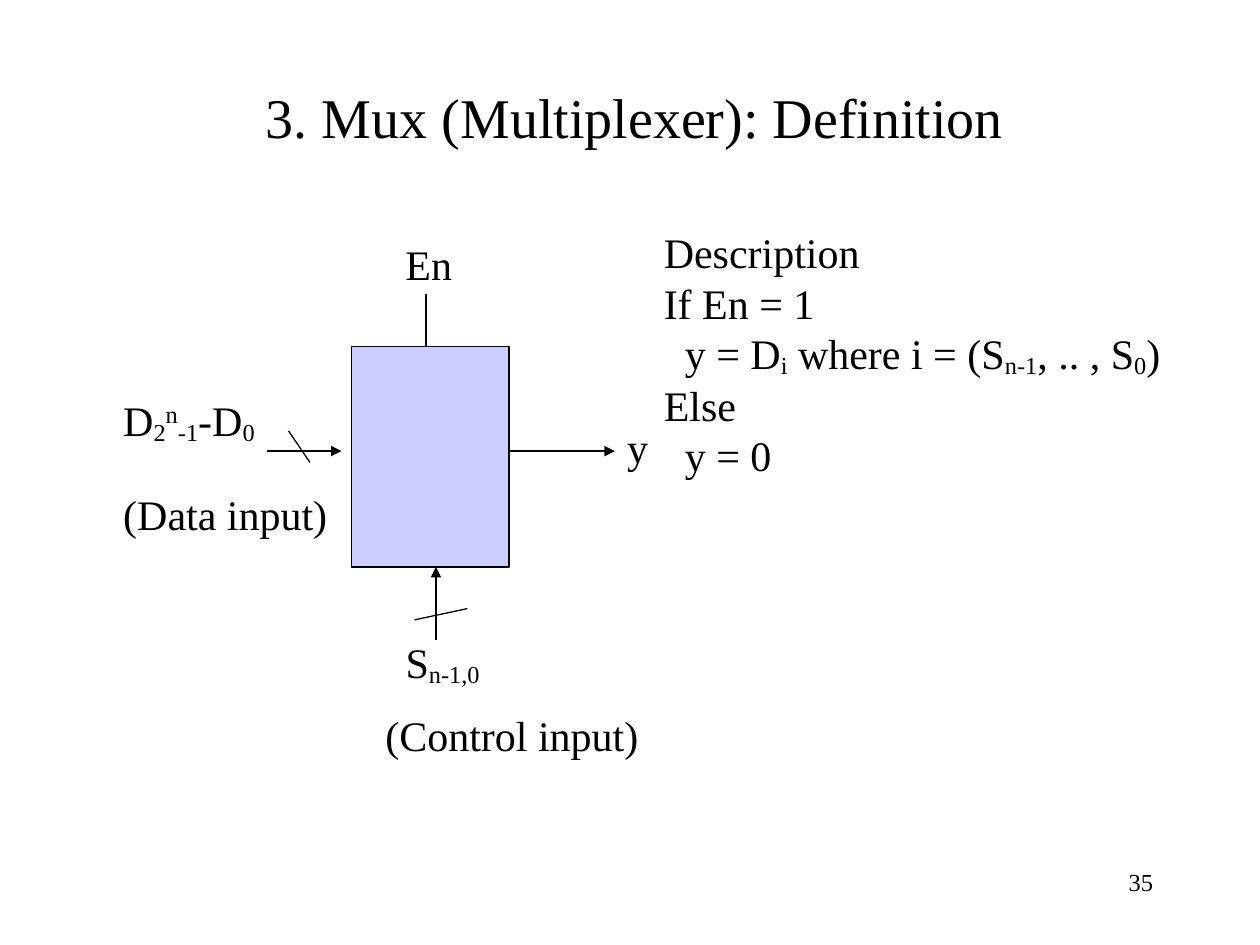
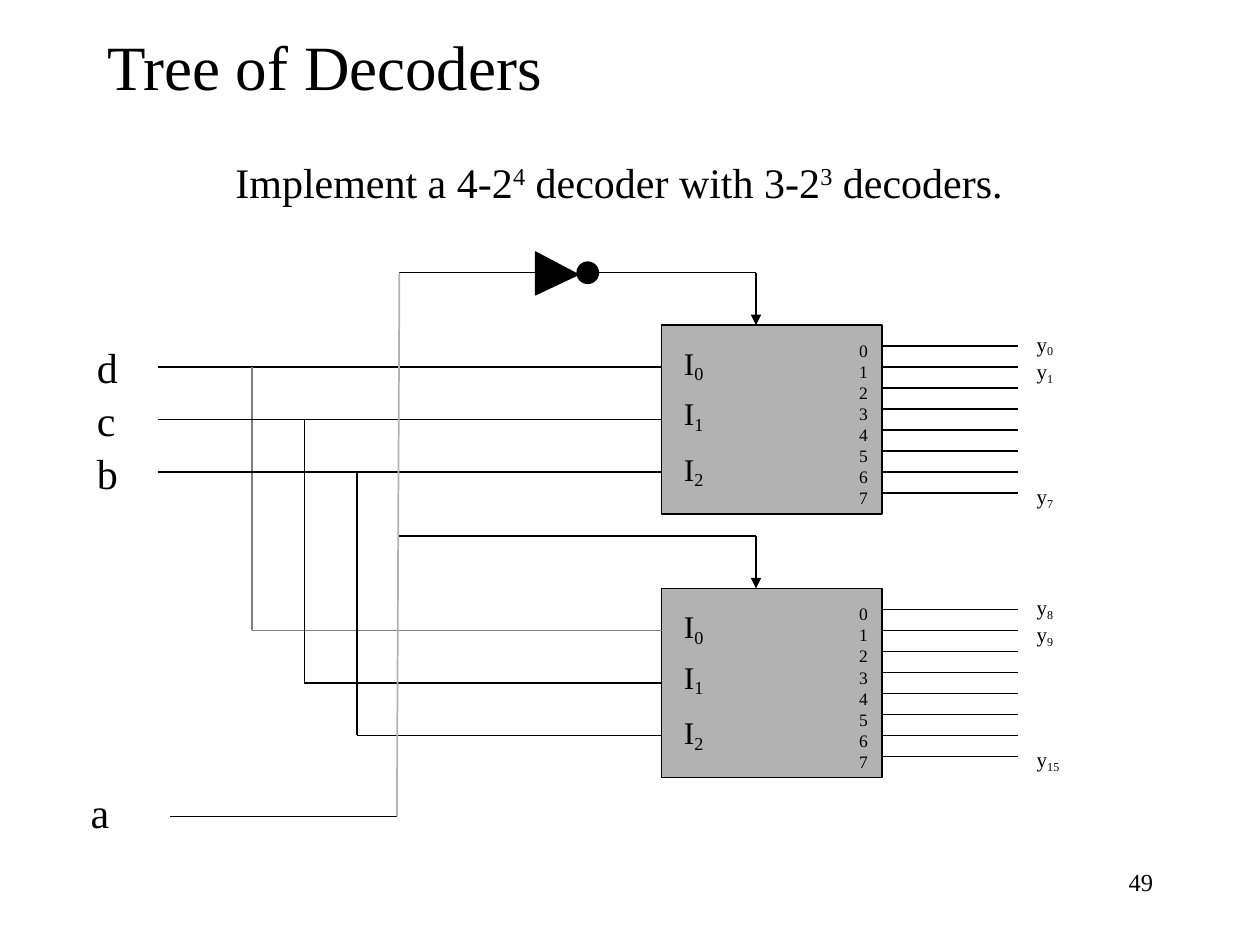
from lxml import etree
from pptx import Presentation
from pptx import util as u
from pptx.dml.color import RGBColor
from pptx.enum import shapes, text
from pptx.oxml.ns import qn

INK = RGBColor(0, 0, 0)
LILAC = RGBColor(0xCC, 0xCC, 0xFF)
SILVER = RGBColor(0xB2, 0xB2, 0xB2)
GREY = RGBColor(0x80, 0x80, 0x80)
FACE = "Times New Roman"
LEFT, CENTER, RIGHT = (text.PP_ALIGN.LEFT, text.PP_ALIGN.CENTER,
                       text.PP_ALIGN.RIGHT)
TOP, MIDDLE = text.MSO_ANCHOR.TOP, text.MSO_ANCHOR.MIDDLE
KIND = shapes.MSO_SHAPE

PITCH = 5 / 12   # between decoder inputs
STEP = 1 / 6     # between decoder outputs


def apply(item, values):
    for name, value in values.items():
        setattr(item, name, value)


def inches(*values):
    return [u.Inches(value) for value in values]


# Text: "|" parts the runs; a leading "_" lowers a run, "^" raises it
def write(frame, lines, size=24, align=LEFT, wrap=False, anchor=TOP):
    apply(frame, {"word_wrap": wrap, "vertical_anchor": anchor,
                  "auto_size": text.MSO_AUTO_SIZE.NONE})
    shift = {"_": "-12000" if size == 24 else "-18000", "^": "30000"}
    for i, line in enumerate(lines):
        para = frame.paragraphs[0] if i == 0 else frame.add_paragraph()
        para.alignment = align
        for part in line.split("|"):
            mark = part[0] if part[0] in shift else ""
            run = para.add_run()
            run.text = part[len(mark):]
            apply(run.font, {"name": FACE, "size": u.Pt(size)})
            run.font.color.rgb = INK
            if mark:
                run._r.get_or_add_rPr().set("baseline", shift[mark])
    return frame


def label(slide, at, lines, **style):
    box = slide.shapes.add_textbox(*inches(*at))
    return write(box.text_frame, lines, **style)


def block(slide, kind, at, fill):
    shape = slide.shapes.add_shape(kind, *inches(*at))
    shape.shadow.inherit = False
    shape.fill.solid()
    shape.fill.fore_color.rgb = fill
    shape.line.color.rgb = INK
    shape.line.width = u.Pt(0.75)
    return shape


def wire(slide, start, end, color=INK, width=0.75, arrow=False):
    line = slide.shapes.add_connector(
        shapes.MSO_CONNECTOR.STRAIGHT, *inches(*start, *end))
    line.line.color.rgb = color
    line.line.width = u.Pt(width)
    if arrow:
        etree.SubElement(line.line._get_or_add_ln(), qn("a:tailEnd"),
                         type="triangle")
    etree.SubElement(line._element.spPr, qn("a:effectLst"))
    return line


# Title and page number on every slide
def page(deck, title, at, number, **style):
    slide = deck.slides.add_slide(deck.slide_layouts[5])
    head = slide.shapes.title
    apply(head, dict(zip(("left", "top", "width", "height"), inches(*at))))
    write(head.text_frame, [title], **style)
    label(slide, (7.17, 6.83, 2.08, 0.5), [number], size=14, align=RIGHT,
          wrap=True)
    return slide


def mux(deck):
    slide = page(deck, "3. Mux (Multiplexer): Definition",
                 (0.75, 0.67, 8.58, 0.5), "35", size=32, align=CENTER,
                 wrap=True, anchor=MIDDLE)
    rules = label(slide, (5.17, 1.75, 4.2, 2.1), [
        "Description", "If En = 1",
        "y = D|_i| where i = (S|_n-1|, .. , S|_0|)",
        "Else", "y = 0"], wrap=True)
    for i in (2, 4):
        rules.paragraphs[i]._p.get_or_add_pPr().set("marL", str(u.Pt(12)))

    # Block with its enable, output, data and control wires
    block(slide, KIND.RECTANGLE, (2.79, 2.75, 1.25, 1.75), LILAC)
    wire(slide, (3.38, 2.75), (3.38, 2.33))
    for start, end in (((4.04, 3.58), (4.88, 3.58)),
                       ((2.12, 3.58), (2.71, 3.58)),
                       ((3.46, 5.08), (3.46, 4.5))):
        wire(slide, start, end, arrow=True)

    # Bus slashes
    wire(slide, (2.29, 3.42), (2.46, 3.67))
    wire(slide, (3.71, 4.83), (3.29, 4.92))

    for left, top, width, words in (
            (3.12, 1.84, 0.57, "En"),
            (4.88, 3.3, 0.37, "y"),
            (0.88, 3.08, 1.33, "D|_2|^n|_-1|-D|_0"),
            (0.88, 3.83, 1.83, "(Data input)"),
            (3.12, 5, 0.85, "S|_n-1,0"),
            (2.96, 5.58, 2.25, "(Control input)")):
        label(slide, (left, top, width, 0.5), [words])


def decoder(slide, top, first):
    """Draw one 3-to-8 decoder and return its block."""
    box = block(slide, KIND.RECTANGLE, (5.25, top, 1.75, 1.5), SILVER)
    for i, drop in enumerate((0.1, 0.5, 0.94)):
        label(slide, (5.33, top + drop, 0.58, 0.4), [f"I|_{i}"], size=18)
    for i in range(8):
        level = top + STEP * (i + 1)
        wire(slide, (7, level), (8.08, level))
    label(slide, (6.72, top + 0.07, 0.27, 1.43), [str(i) for i in range(8)],
          size=10)
    outs = label(slide, (8.13, top, 0.4, 1.5),
                 [f"y|_{first + i}" for i in (0, 1, 7)], size=12)
    outs.paragraphs[2].space_before = u.Pt(56)
    # Enable arrow
    wire(slide, (6, top - PITCH), (6, top), width=1, arrow=True)
    return box


def tree(deck):
    slide = page(deck, "Tree of Decoders", (0.75, 0.17, 3.67, 0.7), "49",
                 size=36)
    label(slide, (1.77, 1.19, 6.31, 0.5),
          ["Implement a 4-2|^4| decoder with 3-2|^3| decoders."])
    upper, lower = 2.58, 4.67
    first = decoder(slide, upper, 0)
    second = decoder(slide, lower, 8)

    # Inputs d, c, b feed both decoders
    for i, name in enumerate("dcb"):
        drop = 1 / 3 + PITCH * i
        high, low, fork = upper + drop, lower + drop, 2 + PITCH * i
        color = GREY if name == "d" else INK
        main_wire = wire(slide, (1.25, high), (5.25, high))
        wire(slide, (fork, high), (fork, low), color)
        branch = wire(slide, (fork, low), (5.25, low), color)
        if name == "c":
            main_wire.end_connect(first, 1)
            branch.end_connect(second, 1)
        label(slide, (0.67, 2.66 + 0.42 * i, 0.37, 0.5), [name])

    # Input a selects a decoder, through an inverter for the upper one
    gate = upper - PITCH
    for start, end in (((6, gate), (4.67, gate)),
                       ((4.25, gate), (3.17, gate)),
                       ((6, lower - PITCH), (3.17, lower - PITCH)),
                       ((3.15, 6.48), (1.35, 6.48))):
        wire(slide, start, end, width=1)
    wire(slide, (3.17, gate), (3.15, 6.48), SILVER, 1)
    label(slide, (0.62, 6.19, 0.35, 0.5), ["a"])
    inverter = block(slide, KIND.ISOSCELES_TRIANGLE, (4.25, 2, 0.34, 0.34),
                     INK)
    inverter.rotation = 90
    inverter.adjustments[0] = 0.53
    block(slide, KIND.OVAL, (4.58, 2.08, 0.17, 0.17), INK)


def main():
    deck = Presentation()
    apply(deck, {"slide_width": u.Inches(10), "slide_height": u.Inches(7.5)})
    mux(deck)
    tree(deck)
    deck.save("out.pptx")


if __name__ == "__main__":
    main()
